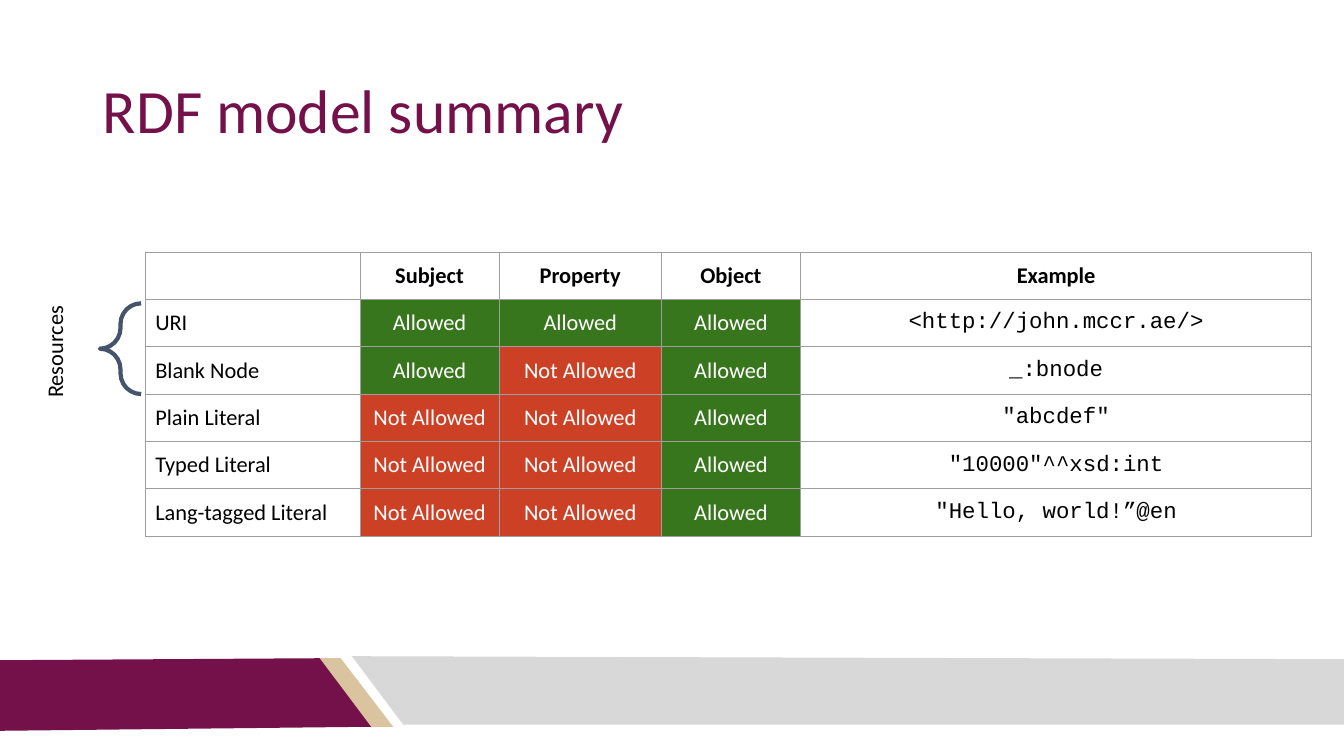
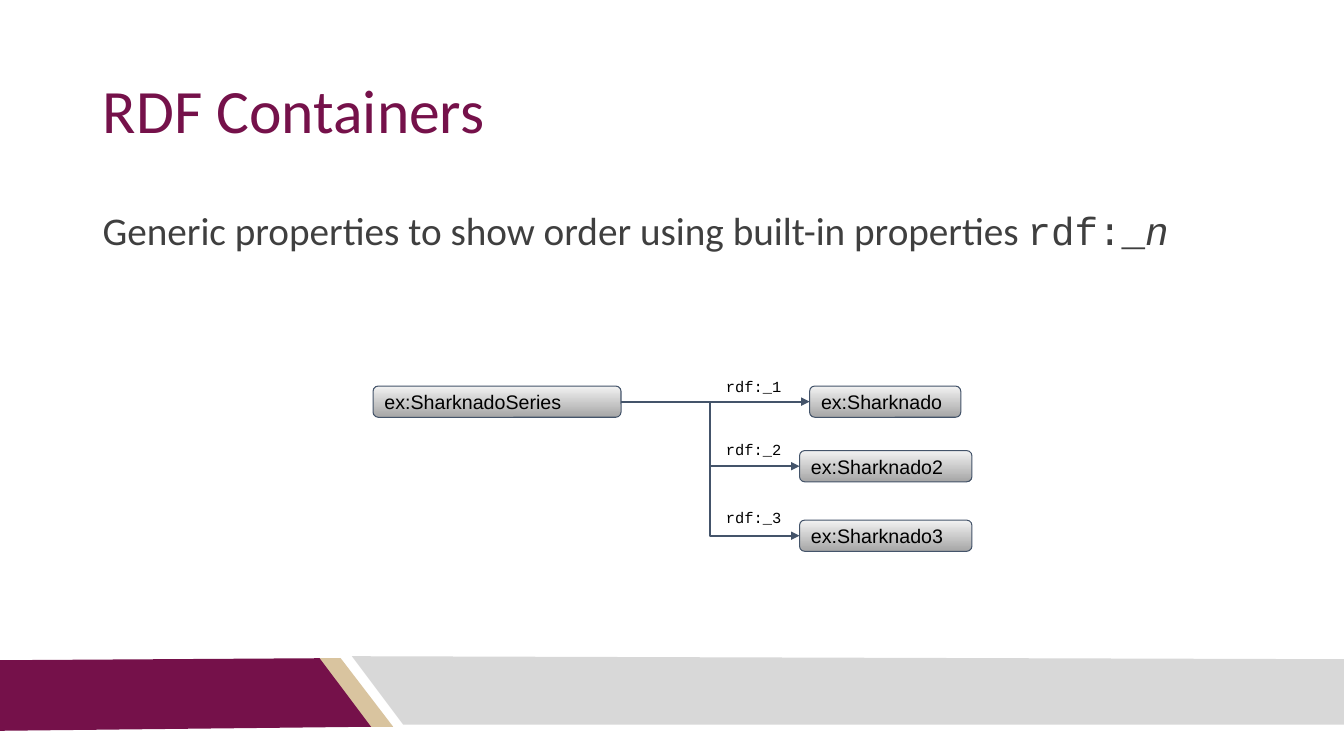
"""Build two slides on the RDF model: a summary table and a container graph."""
import pptx
import pptx.util
import pptx.dml.color
import pptx.enum.shapes
import pptx.enum.text
import pptx.oxml
import pptx.oxml.ns

PX = 9144
WIDE, HIGH = 1333, 750
SANS, MONO, PLAIN = "Calibri", "Courier New", "Arial"
HUES = {
    "wine": "75114A", "tan": "D9C49F", "silver": "D8D8D8", "slate": "44546A",
    "black": "000000", "white": "FFFFFF", "text": "3F3F3F", "grid": "9E9E9E",
    "green": "38761D", "red": "CC4125", "light": "F2F2F2", "dark": "A6A6A6",
}
BANDS = [
    ("tan", [(316, 653), (338, 653), (390, 721), (367, 721)]),
    ("wine", [(0, 655), (317, 653), (368, 721), (0, 725)]),
    ("silver", [(349, 651), (WIDE, 654), (WIDE, 719), (400, 719)]),
]
TITLE = (92, 40, 1150, 145)

YES, NO = "Allowed", "Not Allowed"
ROWS = [
    ("", "Subject", "Property", "Object", "Example"),
    ("URI", YES, YES, YES, "<http://john.mccr.ae/>"),
    ("Blank Node", YES, NO, YES, "_:bnode"),
    ("Plain Literal", NO, NO, YES, '"abcdef"'),
    ("Typed Literal", NO, NO, YES, '"10000"^^xsd:int'),
    ("Lang-tagged Literal", NO, NO, YES, '"Hello, world!”@en'),
]
FILLS = {YES: "green", NO: "red"}
COLS = [213, 138, 161, 138, 507]
ROW = 47
GRID = (144, 250)
BRACE = (99, 301, 41, 90)
SIDE = ("Resources", (-4, 323, 116, 47))

LEAD = [("Generic properties to show order using built-in properties ", SANS, False),
        ("rdf:_", MONO, False), ("n", MONO, True)]
LEAD_AT = (92, 200, 1150, 90)
BOX = 31
ROOT = ("ex:SharknadoSeries", 370, 383, 246)
LEAVES = [
    ("ex:Sharknado", 803, 383, 150, "rdf:_1", 365),
    ("ex:Sharknado2", 793, 447, 171, "rdf:_2", 427),
    ("ex:Sharknado3", 793, 516, 171, "rdf:_3", 495),
]
TAG_X, TAG_W = 709, 77

KIND = pptx.enum.shapes.MSO_SHAPE
ALIGN = pptx.enum.text.PP_ALIGN
MID = pptx.enum.text.MSO_ANCHOR.MIDDLE


def emu(vals):
    return [val * PX for val in vals]


def hue(name):
    return pptx.dml.color.RGBColor.from_string(HUES[name])


def node(tag, inner="", attrs=""):
    space = pptx.oxml.ns.nsdecls("a")
    return pptx.oxml.parse_xml(f"<a:{tag} {space} {attrs}>{inner}</a:{tag}>")


def style(para, size, shade="black", face=SANS, align=ALIGN.LEFT, bold=False):
    para.alignment = align
    font = para.font
    font.size, font.name, font.bold = pptx.util.Pt(size), face, bold
    font.color.rgb = hue(shade)


def inset(frame, wrap=True):
    frame.word_wrap = wrap
    frame.margin_left = frame.margin_right = 10 * PX
    frame.margin_top = frame.margin_bottom = 10 * PX
    return frame.paragraphs[0]


def label(slide, text, place, size, wrap=True, **look):
    box = slide.shapes.add_textbox(*emu(place))
    para = inset(box.text_frame, wrap)
    para.text = text
    style(para, size, **look)
    return box


def stroke(line, width):
    line.color.rgb = hue("slate")
    line.width = pptx.util.Pt(width)


def add_bands(slide, layout):
    for shade, points in BANDS:
        form = slide.shapes.build_freeform(*points[0], scale=PX)
        form.add_line_segments(points[1:], close=True)
        band = form.convert_to_shape()
        band.shadow.inherit = False
        band.fill.solid()
        band.fill.fore_color.rgb = hue(shade)
        band.line.fill.background()
        layout.shapes.element.append(band.element)


def add_slide(deck, layout, text):
    slide = deck.slides.add_slide(layout)
    title = slide.shapes.title
    title.left, title.top, title.width, title.height = emu(TITLE)
    para = inset(title.text_frame)
    title.text_frame.vertical_anchor = MID
    para.text = text
    para.line_spacing = 0.9
    style(para, 44, "wine")
    return slide


def edge(cell):
    props = cell._tc.get_or_add_tcPr()
    paint = f'<a:solidFill><a:srgbClr val="{HUES["grid"]}"/></a:solidFill>'
    for spot, tag in enumerate(("lnL", "lnR", "lnT", "lnB")):
        props.insert(spot, node(tag, paint, 'w="9525"'))


def add_grid(slide):
    frame = slide.shapes.add_table(
        len(ROWS), len(COLS), *emu((*GRID, sum(COLS), ROW * len(ROWS))))
    table = frame.table
    table.first_row = table.horz_banding = False
    for col, width in zip(table.columns, COLS):
        col.width = width * PX
    for y, row in enumerate(ROWS):
        table.rows[y].height = ROW * PX
        for x, text in enumerate(row):
            cell = table.cell(y, x)
            cell.margin_left = cell.margin_right = 10 * PX
            cell.margin_top = cell.margin_bottom = 8 * PX
            cell.vertical_anchor = MID
            para = cell.text_frame.paragraphs[0]
            para.text = text
            style(para, 16, "white" if text in FILLS else "black",
                  MONO if y and x == len(COLS) - 1 else SANS,
                  ALIGN.CENTER if x else ALIGN.LEFT, bold=y == 0)
            if text in FILLS:
                cell.fill.solid()
                cell.fill.fore_color.rgb = hue(FILLS[text])
            else:
                cell.fill.background()
            edge(cell)


def add_brace(slide):
    brace = slide.shapes.add_shape(KIND.LEFT_BRACE, *emu(BRACE))
    brace.shadow.inherit = False
    brace.adjustments[0] = 0.5
    brace.fill.background()
    stroke(brace.line, 3)
    label(slide, *SIDE, 16).rotation = 270


def add_lead(slide):
    box = slide.shapes.add_textbox(*emu(LEAD_AT))
    para = inset(box.text_frame)
    para.line_spacing = 0.9
    style(para, 28, "text")
    for text, face, slant in LEAD:
        run = para.add_run()
        run.text = text
        run.font.name, run.font.italic = face, slant


def add_box(slide, text, left, top, width):
    box = slide.shapes.add_shape(
        KIND.ROUNDED_RECTANGLE, *emu((left, top, width, BOX)))
    box.shadow.inherit = False
    box.fill.gradient()
    box.fill.gradient_angle = 270
    for stop, shade in zip(box.fill.gradient_stops, ("light", "dark")):
        stop.color.rgb = hue(shade)
    stroke(box.line, 0.75)
    para = inset(box.text_frame)
    box.text_frame.vertical_anchor = MID
    para.text = text
    style(para, 14, face=PLAIN)
    return box


def add_link(slide, start, end):
    link = slide.shapes.add_connector(
        pptx.enum.shapes.MSO_CONNECTOR.ELBOW, start.left + start.width,
        start.top + start.height // 2, end.left, end.top + end.height // 2)
    link.begin_connect(start, 3)
    link.end_connect(end, 1)
    stroke(link.line, 1.5)
    link.line._get_or_add_ln().append(node("tailEnd", attrs='type="triangle"'))
    link.element.spPr.append(node("effectLst"))


def add_graph(slide):
    root = add_box(slide, *ROOT)
    for text, left, top, width, tag, tag_y in LEAVES:
        add_link(slide, root, add_box(slide, text, left, top, width))
        label(slide, tag, (TAG_X, tag_y, TAG_W, BOX), 11, wrap=False,
              face=MONO, align=ALIGN.CENTER)


def main():
    deck = pptx.Presentation()
    deck.slide_width, deck.slide_height = emu((WIDE, HIGH))
    layout = deck.slide_layouts.get_by_name("Title Only")
    model = add_slide(deck, layout, "RDF model summary")
    add_bands(model, layout)
    add_grid(model)
    add_brace(model)
    series = add_slide(deck, layout, "RDF Containers")
    add_lead(series)
    add_graph(series)
    deck.save("out.pptx")


if __name__ == "__main__":
    main()
